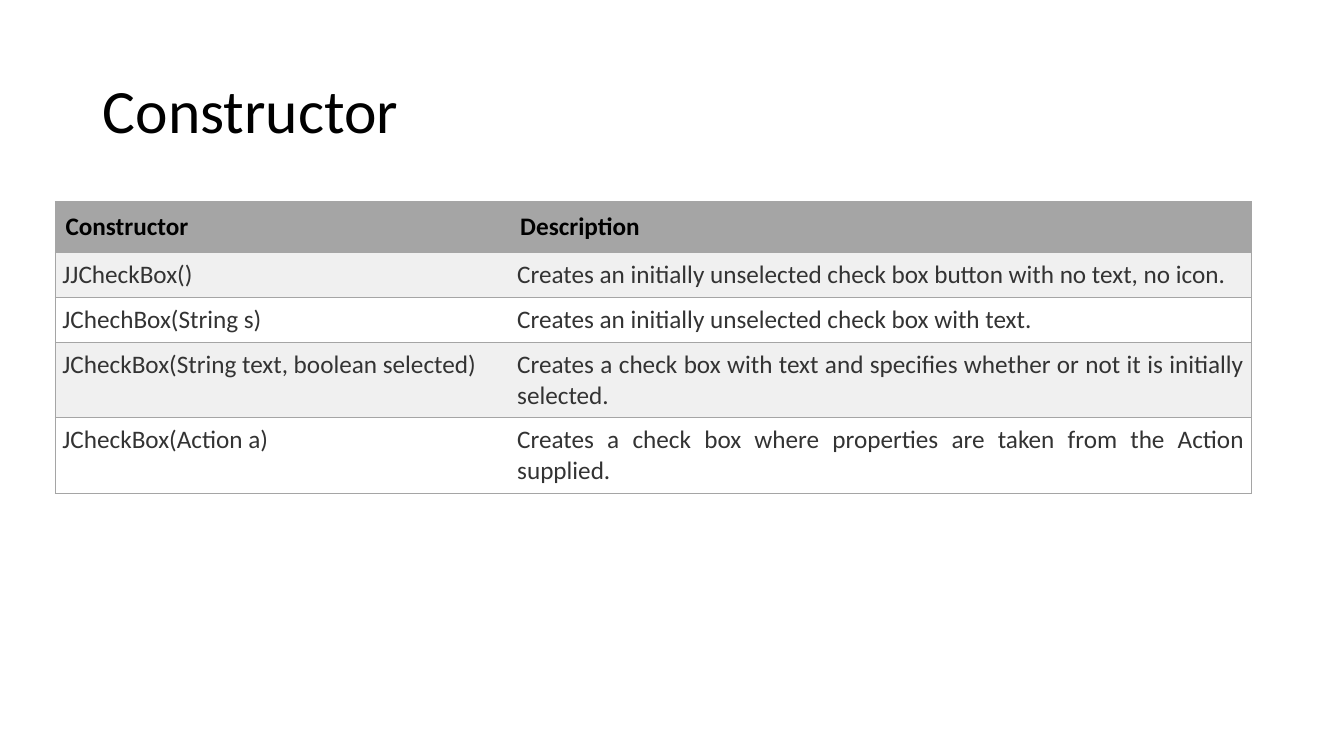
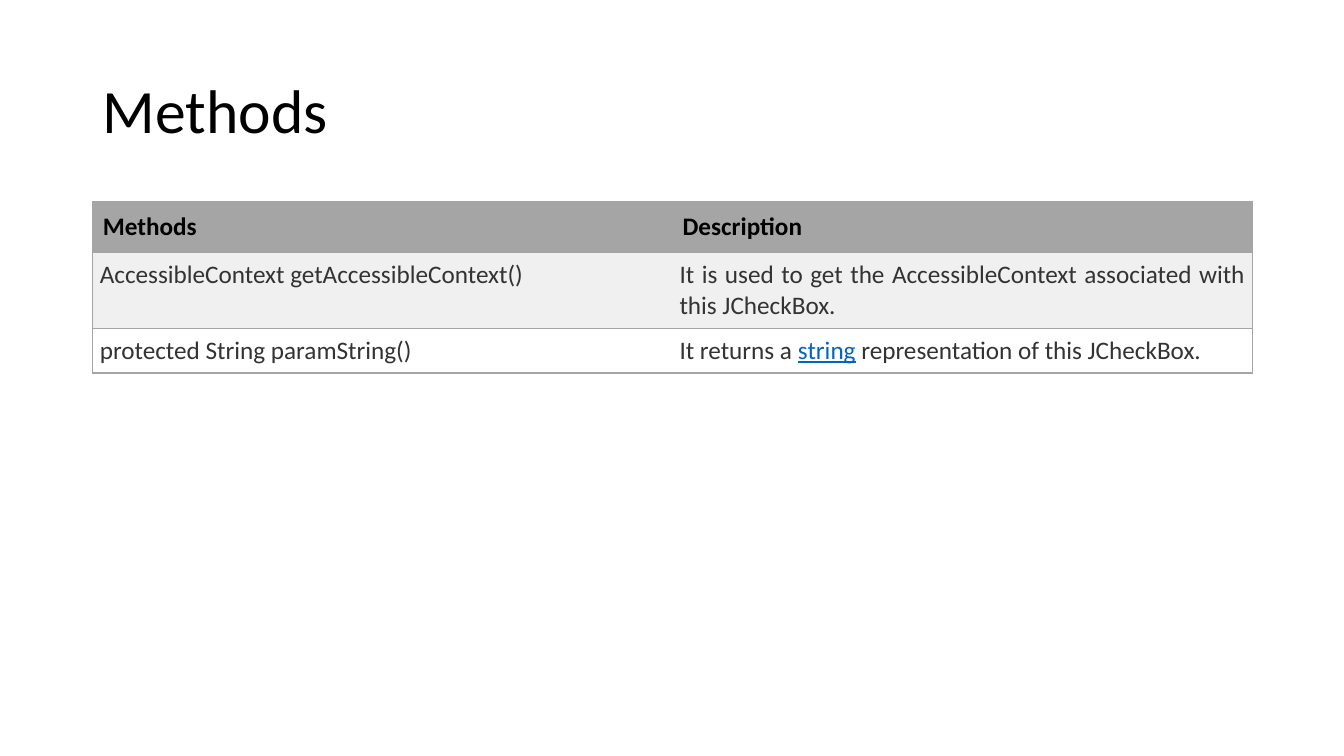
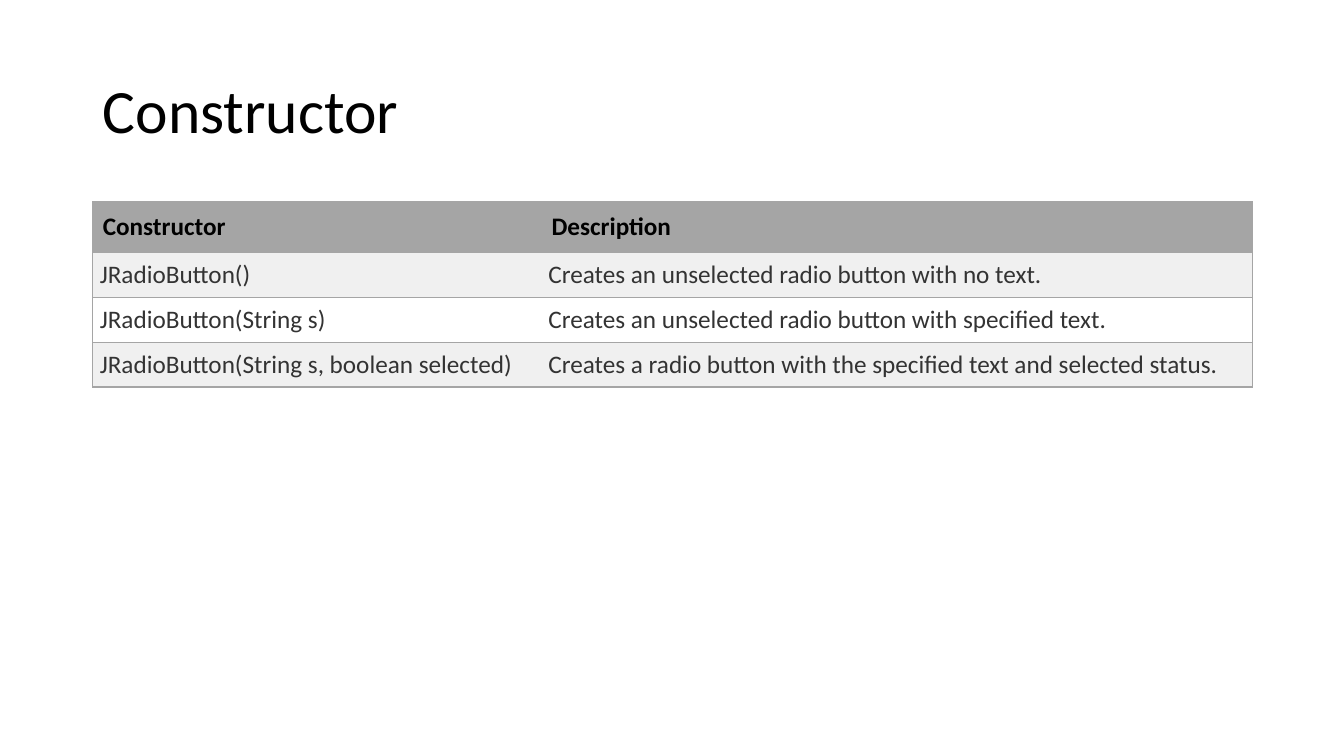
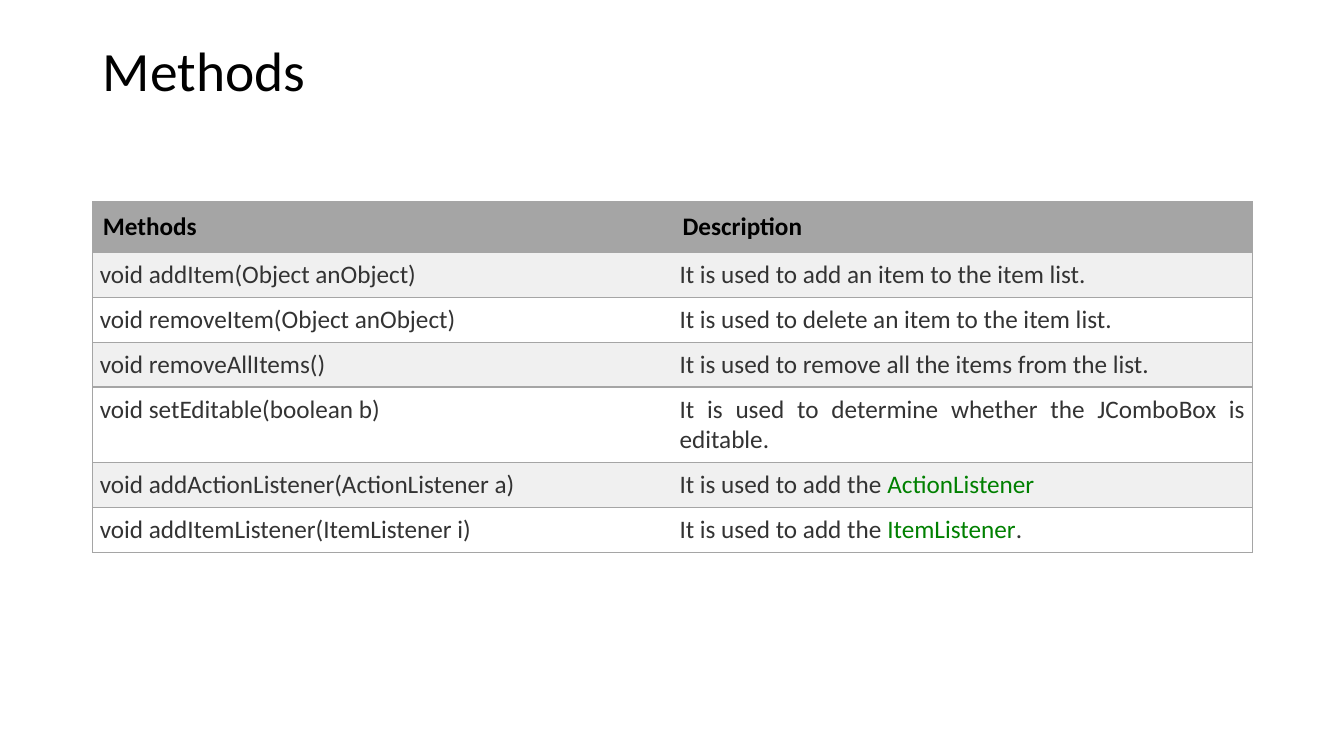
from lxml import etree
from pptx import Presentation
from pptx.dml.color import RGBColor
from pptx.enum import text
from pptx.oxml import ns
from pptx.util import Inches, Pt

FONT = "Calibri"
BLACK, INK, GRAY, STRIPE, WHITE = "000000", "333333", "A5A5A5", "F0F0F0", "FFFFFF"
LINK, GREEN = "0563C1", "008000"
LEFT, WIDTH, TABLE_TOP, ROW_HEIGHT = 0.92, 11.5, 2, 0.41
HEADER_INSET, BODY_INSET = 0.1, 0.07

SLIDES = [
    {
        "title": "Constructor",
        "left": 0.55,
        "columns": (4.51, 7.35),
        "rows": [
            ("JJCheckBox()", "Creates an initially unselected check box button with no text, no icon."),
            ("JChechBox(String s)", "Creates an initially unselected check box with text."),
            ("JCheckBox(String text, boolean selected)",
             "Creates a check box with text and specifies whether or not it is initially selected."),
            ("JCheckBox(Action a)", "Creates a check box where properties are taken from the Action supplied."),
        ],
    },
    {
        "title": "Methods",
        "columns": (5.75, 5.75),
        "rows": [
            ("AccessibleContext getAccessibleContext()",
             "It is used to get the AccessibleContext associated with this JCheckBox."),
            ("protected String paramString()",
             [("It returns a ", INK), ("string", LINK), (" representation of this JCheckBox.", INK)]),
        ],
    },
    {
        "title": "Constructor",
        "columns": (4.45, 7.05),
        "rows": [
            ("JRadioButton()", "Creates an unselected radio button with no text."),
            ("JRadioButton(String s)", "Creates an unselected radio button with specified text."),
            ("JRadioButton(String s, boolean selected)",
             "Creates a radio button with the specified text and selected status."),
        ],
    },
    {
        "title": "Methods",
        "title_height": 0.66,
        "title_size": 39.6,
        "columns": (5.75, 5.75),
        "rows": [
            ("void addItem(Object anObject)", "It is used to add an item to the item list."),
            ("void removeItem(Object anObject)", "It is used to delete an item to the item list."),
            ("void removeAllItems()", "It is used to remove all the items from the list."),
            ("void setEditable(boolean b)", "It is used to determine whether the JComboBox is editable."),
            ("void addActionListener(ActionListener a)",
             [("It is used to add the ", INK), ("ActionListener", GREEN)]),
            ("void addItemListener(ItemListener i)",
             [("It is used to add the ", INK), ("ItemListener", GREEN), (".", INK)]),
        ],
    },
]


def color(value):
    return RGBColor.from_string(value)


def style_run(run, size, value, bold=False):
    run.font.name = FONT
    run.font.size = Pt(size)
    run.font.bold = bold
    run.font.color.rgb = color(value)


def add_title(slide, content):
    title = slide.shapes.title
    title.left, title.top = Inches(LEFT), Inches(0.4)
    title.width, title.height = Inches(WIDTH), Inches(content.get("title_height", 1.45))
    frame = title.text_frame
    frame.text = content["title"]
    frame.auto_size = text.MSO_AUTO_SIZE.NONE
    frame.vertical_anchor = text.MSO_ANCHOR.MIDDLE
    paragraph = frame.paragraphs[0]
    paragraph.alignment = text.PP_ALIGN.LEFT
    paragraph.line_spacing = 0.9
    style_run(paragraph.runs[0], content.get("title_size", 44), BLACK)


def set_borders(cell, hidden_side):
    properties = cell._tc.get_or_add_tcPr()
    for index, side in enumerate(("lnL", "lnR", "lnT", "lnB")):
        line = etree.Element(ns.qn(f"a:{side}"), w=str(Pt(1)))
        if side == hidden_side:
            etree.SubElement(line, ns.qn("a:noFill"))
        else:
            fill = etree.SubElement(line, ns.qn("a:solidFill"))
            etree.SubElement(fill, ns.qn("a:srgbClr"), val=GRAY)
        properties.insert(index, line)


def fill_cell(cell, content, fill, inset, is_header):
    cell.fill.solid()
    cell.fill.fore_color.rgb = color(fill)
    cell.margin_left = cell.margin_right = Inches(inset)
    cell.margin_top = cell.margin_bottom = Inches(inset)
    paragraph = cell.text_frame.paragraphs[0]
    paragraph.alignment = text.PP_ALIGN.LEFT if is_header else text.PP_ALIGN.JUSTIFY
    parts = [(content, BLACK if is_header else INK)] if isinstance(content, str) else content
    for words, value in parts:
        run = paragraph.add_run()
        run.text = words
        style_run(run, 18, value, is_header)
        if value == LINK:
            run.font.underline = True


def add_reference_table(slide, content):
    rows = [(content["title"], "Description")] + content["rows"]
    columns = content["columns"]
    table = slide.shapes.add_table(
        len(rows), len(columns), Inches(content.get("left", LEFT)), Inches(TABLE_TOP),
        Inches(sum(columns)), Inches(ROW_HEIGHT * len(rows))).table
    for column, width in zip(table.columns, columns):
        column.width = Inches(width)
    for row_index, row in enumerate(rows):
        table.rows[row_index].height = Inches(ROW_HEIGHT)
        is_header = row_index == 0
        fill = GRAY if is_header else (WHITE, STRIPE)[row_index % 2]
        inset = HEADER_INSET if is_header else BODY_INSET
        for column_index, cell_content in enumerate(row):
            cell = table.cell(row_index, column_index)
            fill_cell(cell, cell_content, fill, inset, is_header)
            set_borders(cell, ("lnR", "lnL")[column_index])


def main():
    presentation = Presentation()
    presentation.slide_width, presentation.slide_height = Inches(13.33), Inches(7.5)
    title_only = presentation.slide_layouts[5]
    for content in SLIDES:
        slide = presentation.slides.add_slide(title_only)
        add_title(slide, content)
        add_reference_table(slide, content)
    presentation.save("out.pptx")


if __name__ == "__main__":
    main()
